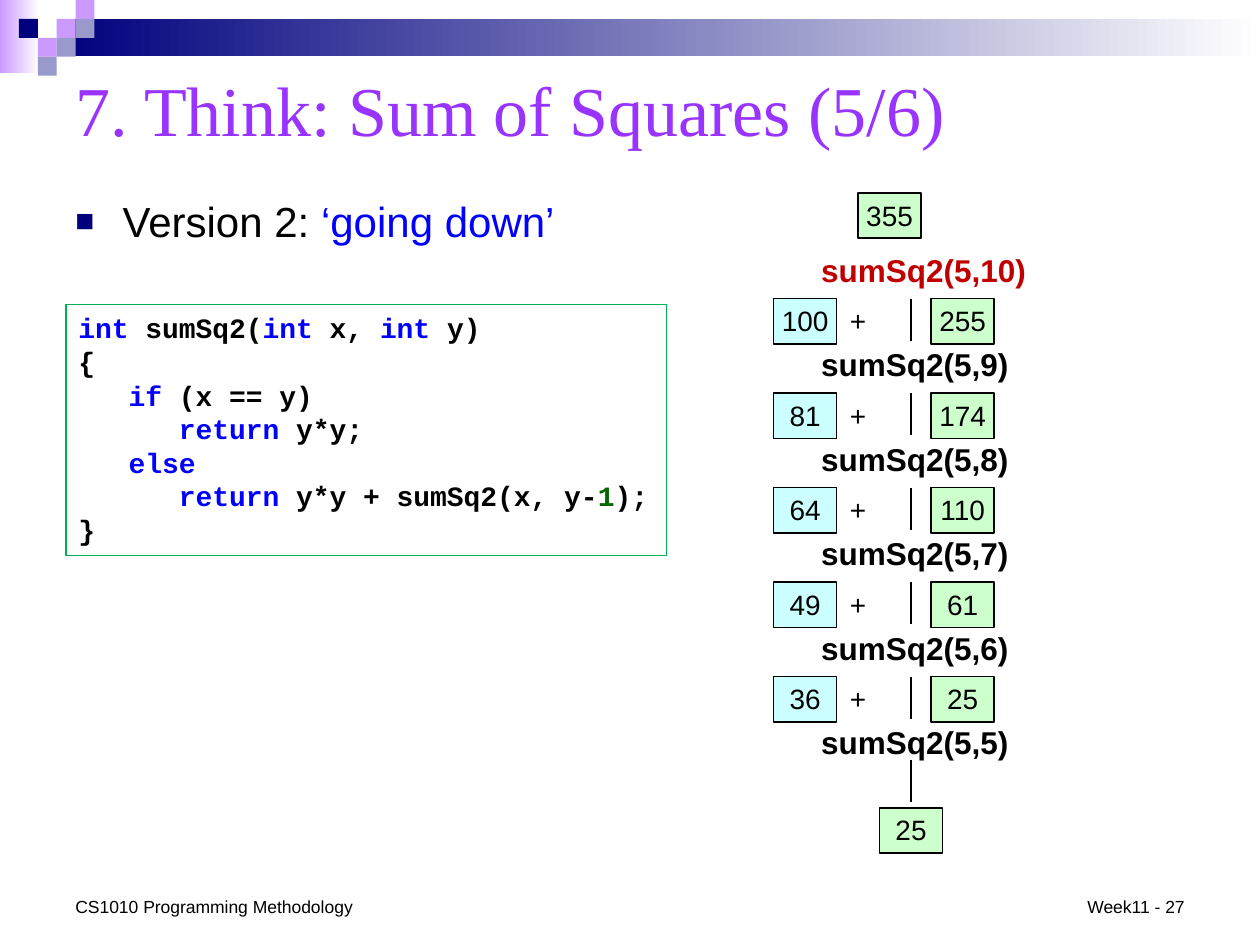
from dataclasses import dataclass

from lxml.etree import SubElement
from pptx import Presentation
from pptx.dml.color import RGBColor
from pptx.enum.shapes import MSO_CONNECTOR, MSO_SHAPE
from pptx.enum.text import MSO_ANCHOR, PP_ALIGN
from pptx.oxml.ns import qn
from pptx.util import Pt


@dataclass(frozen=True)
class Theme:
    navy: str = "00007D"
    lilac: str = "CC99FF"
    slate: str = "9999CC"
    white: str = "FFFFFF"
    black: str = "000000"
    violet: str = "9933FF"
    blue: str = "0000FF"
    red: str = "C00000"
    number: str = "006600"
    code_border: str = "00B050"
    result: str = "CCFFCC"
    square: str = "CCFFFF"
    title_size: int = 40
    body_size: int = 24
    call_size: int = 18
    value_size: int = 16
    footer_size: int = 10
    sans: str = "Arial"
    serif: str = "Times New Roman"
    mono: str = "Courier New"


THEME = Theme()
LOW, HIGH = 5, 10
ROW_STEP = 54
FIRST_CALL_TOP = 140.4
FIRST_LINK_TOP = 170.6
LINK_X = 520.6
VALUE_SIZE = (36, 26)

KEYWORD, PLAIN = THEME.blue, THEME.black
CODE = [
    [("int", KEYWORD), (" sumSq2(", PLAIN), ("int", KEYWORD), (" x, ", PLAIN),
     ("int", KEYWORD), (" y)", PLAIN)],
    [("{", PLAIN)],
    [("   if", KEYWORD), (" (x == y)", PLAIN)],
    [("      return ", KEYWORD), ("y*y;", PLAIN)],
    [("   else", KEYWORD)],
    [("      return ", KEYWORD), ("y*y + sumSq2(x, y-", PLAIN),
     ("1", THEME.number), (");", PLAIN)],
    [("}", PLAIN)],
]


def rgb(value):
    return RGBColor.from_string(value)


def write_lines(frame, lines, size, font=THEME.sans, bold=False,
                align=PP_ALIGN.LEFT, anchor=MSO_ANCHOR.TOP, inset=None):
    """Fill a text frame with lines, each a list of (text, colour) spans."""
    frame.word_wrap = True
    frame.vertical_anchor = anchor
    if inset is not None:
        for side in ("left", "top", "right", "bottom"):
            setattr(frame, f"margin_{side}", Pt(inset))
    font_format = {"name": font, "size": Pt(size), "bold": bold}
    for index, line in enumerate(lines):
        para = frame.add_paragraph() if index else frame.paragraphs[0]
        para.alignment = align
        for text, colour in line:
            span = para.add_run()
            span.text = text
            span.font.color.rgb = rgb(colour)
            for name, value in font_format.items():
                setattr(span.font, name, value)


def add_text(slide, left, top, width, height, spans, size, **text_format):
    box = slide.shapes.add_textbox(Pt(left), Pt(top), Pt(width), Pt(height))
    write_lines(box.text_frame, [spans], size, **text_format)
    return box


def add_box(slide, left, top, width, height, fill, border=None, weight=1):
    """Add a rectangle; a pair of fill colours gives a left-to-right fade."""
    box = slide.shapes.add_shape(MSO_SHAPE.RECTANGLE, Pt(left), Pt(top),
                                 Pt(width), Pt(height))
    box.shadow.inherit = False
    if isinstance(fill, tuple):
        box.fill.gradient()
        box.fill.gradient_angle = 0
        for stop, colour in zip(box.fill.gradient_stops, fill):
            stop.color.rgb = rgb(colour)
    else:
        box.fill.solid()
        box.fill.fore_color.rgb = rgb(fill)
    if border:
        box.line.color.rgb = rgb(border)
        box.line.width = Pt(weight)
    else:
        box.line.fill.background()
    return box


def add_value(slide, left, top, value, fill):
    box = add_box(slide, left, top, *VALUE_SIZE, fill, THEME.black)
    write_lines(box.text_frame, [[(str(value), THEME.black)]],
                THEME.value_size, align=PP_ALIGN.CENTER, inset=3)


def add_link(slide, top):
    link = slide.shapes.add_connector(MSO_CONNECTOR.STRAIGHT, Pt(LINK_X),
                                      Pt(top), Pt(LINK_X), Pt(top + 24))
    link.line.color.rgb = rgb(THEME.black)
    link.line.width = Pt(1)
    SubElement(link._element.spPr, qn("a:effectLst"))


def add_banner(slide):
    add_box(slide, 0, 0, 22.5, 41.75, (THEME.lilac, THEME.white))
    add_box(slide, 32.4, 10.75, 687.6, 21.4, (THEME.navy, THEME.white))
    cell = 10.8
    tiles = [(3, 1, THEME.lilac), (4, 0, THEME.lilac), (4, 1, THEME.slate),
             (2, 2, THEME.lilac), (1, 1, THEME.navy), (3, 2, THEME.slate),
             (2, 3, THEME.slate)]
    for column, row, colour in tiles:
        add_box(slide, column * cell, row * cell, cell, cell, colour)


def add_title(slide, text):
    title = slide.shapes.title
    place = {"left": 36, "top": 30.2, "width": 648, "height": 63.4}
    for name, value in place.items():
        setattr(title, name, Pt(value))
    write_lines(title.text_frame, [[(text, THEME.violet)]], THEME.title_size,
                font=THEME.serif, anchor=MSO_ANCHOR.MIDDLE)


def add_bullet(slide, spans):
    box = add_text(slide, 36, 108, 648, 44, spans, THEME.body_size)
    properties = box.text_frame.paragraphs[0]._p.get_or_add_pPr()
    properties.set("marL", str(Pt(27)))
    properties.set("indent", str(Pt(-27)))
    colour = SubElement(properties, qn("a:buClr"))
    SubElement(colour, qn("a:srgbClr"), val=THEME.navy)
    SubElement(properties, qn("a:buSzPct"), val="75000")
    SubElement(properties, qn("a:buFont"), typeface=THEME.sans)
    SubElement(properties, qn("a:buChar"), char="■")


def add_code(slide):
    box = add_box(slide, 37.7, 174.2, 343.4, 143.2, THEME.white,
                  THEME.code_border, 0.75)
    write_lines(box.text_frame, CODE, THEME.value_size, font=THEME.mono,
                bold=True)


def add_call_chain(slide):
    """Draw the calls from HIGH down to LOW with the value each returns."""
    for row, upper in enumerate(range(HIGH, LOW - 1, -1)):
        call_top = FIRST_CALL_TOP + row * ROW_STEP
        link_top = FIRST_LINK_TOP + row * ROW_STEP
        colour = THEME.black if row else THEME.red
        add_text(slide, 466.3, call_top, 160, 27.4,
                 [(f"sumSq2({LOW},{upper})", colour)], THEME.call_size,
                 bold=True, inset=3)
        if upper > LOW:
            rest = sum(number ** 2 for number in range(LOW, upper))
            add_link(slide, link_top)
            add_value(slide, 532.1, link_top, rest, THEME.result)
            add_text(slide, 472.3, link_top, 36, 25.2, [("+", THEME.black)],
                     THEME.value_size, align=PP_ALIGN.CENTER, inset=3)
            add_value(slide, 442.1, link_top, upper ** 2, THEME.square)
    total = sum(number ** 2 for number in range(LOW, HIGH + 1))
    add_value(slide, 490.3, 110.2, total, THEME.result)
    add_link(slide, 434.2)
    add_value(slide, 502.6, 461.5, LOW ** 2, THEME.result)


def add_footer(slide, left, width, text, align):
    add_text(slide, left, 508.3, width, 19.4, [(text, THEME.black)],
             THEME.footer_size, align=align, anchor=MSO_ANCHOR.BOTTOM)


def main():
    deck = Presentation()
    deck.slide_width, deck.slide_height = Pt(720), Pt(540)
    slide = deck.slides.add_slide(deck.slide_layouts.get_by_name("Title Only"))
    add_banner(slide)
    add_title(slide, "7. Think: Sum of Squares (5/6)")
    add_bullet(slide, [("Version 2: ", THEME.black),
                       ("‘going down’", THEME.blue)])
    add_code(slide)
    add_call_chain(slide)
    add_footer(slide, 36, 174.2, "CS1010 Programming Methodology",
               PP_ALIGN.LEFT)
    add_footer(slide, 612.7, 71.3, "Week11 - 27", PP_ALIGN.RIGHT)
    deck.save("out.pptx")


if __name__ == "__main__":
    main()
